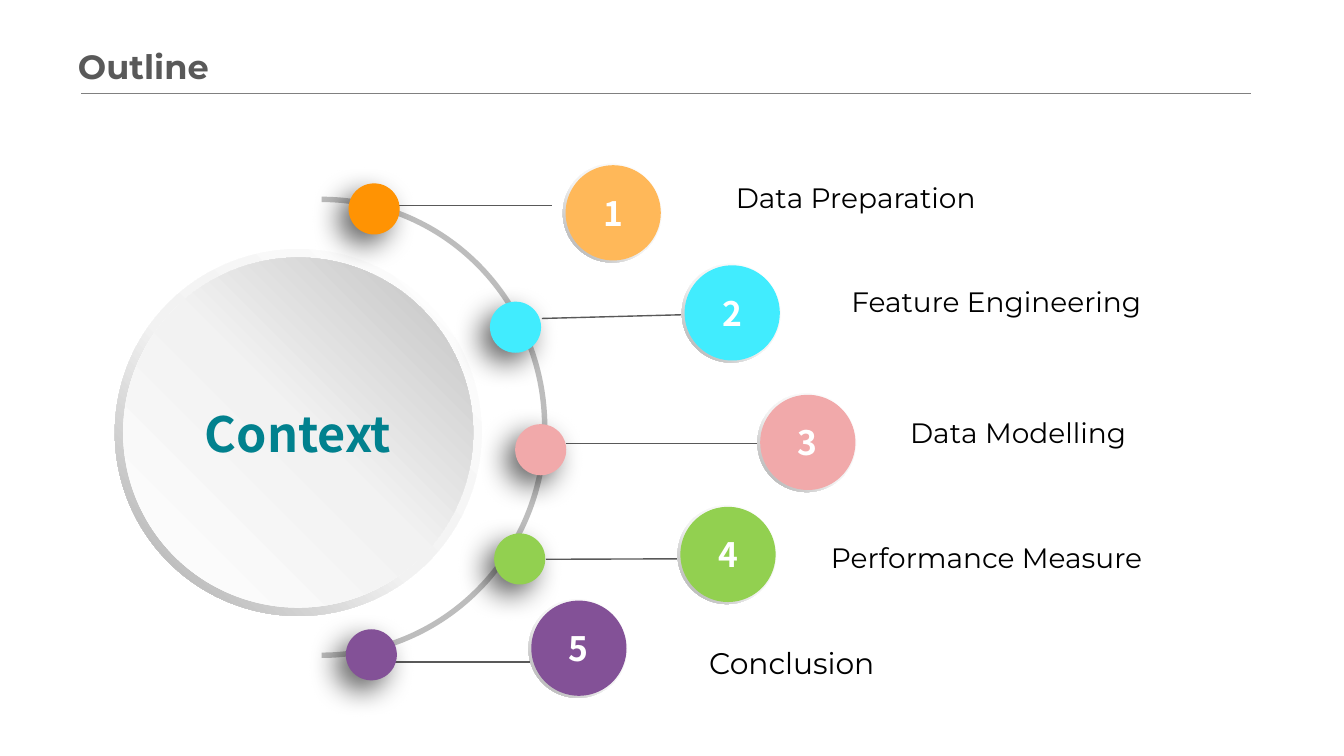
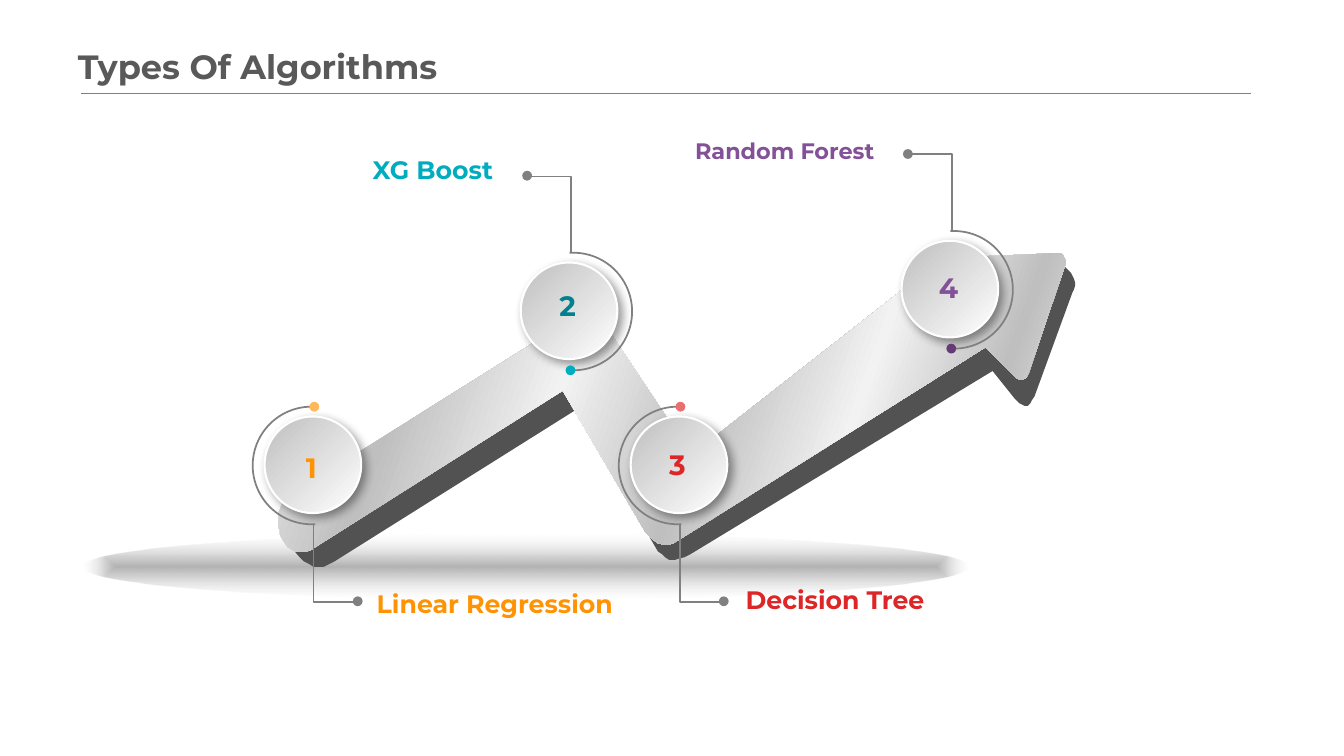
"""Build an outline slide and a slide on types of algorithms."""
import pptx
import pptx.dml.color
import pptx.enum.shapes
import pptx.enum.text
import pptx.oxml
import pptx.oxml.ns
import pptx.util

Pt = pptx.util.Pt
RGB = pptx.dml.color.RGBColor
SHAPE = pptx.enum.shapes.MSO_SHAPE
STRAIGHT = pptx.enum.shapes.MSO_CONNECTOR.STRAIGHT
ALIGN = pptx.enum.text.PP_ALIGN
MIDDLE = pptx.enum.text.MSO_ANCHOR.MIDDLE
qn = pptx.oxml.ns.qn

BLACK = RGB(0x00, 0x00, 0x00)
WHITE = RGB(0xFF, 0xFF, 0xFF)
CHARCOAL = RGB(0x59, 0x59, 0x59)
SIDE = RGB(0x52, 0x52, 0x52)
GRAY = RGB(0x80, 0x80, 0x80)
ARC_GRAY = RGB(0xBD, 0xBD, 0xBD)
SILVER = RGB(0xBF, 0xBF, 0xBF)
PALE = RGB(0xF2, 0xF2, 0xF2)
STEEL = RGB(0xA6, 0xA6, 0xA6)
ORANGE = RGB(0xFF, 0x93, 0x03)
APRICOT = RGB(0xFF, 0xB8, 0x59)
CYAN = RGB(0x41, 0xEC, 0xFE)
TEAL = RGB(0x01, 0x81, 0x8E)
TURQUOISE = RGB(0x01, 0xAC, 0xBE)
PINK = RGB(0xF1, 0xA9, 0xAA)
CORAL = RGB(0xE8, 0x70, 0x71)
RED = RGB(0xDC, 0x26, 0x27)
GREEN = RGB(0x92, 0xD0, 0x50)
PURPLE = RGB(0x83, 0x51, 0x97)
PLUM = RGB(0x66, 0x3A, 0x77)

TEXT_FONT = "Montserrat"
DISC_FONT = "Noto Sans CJK SC"
DRAWING_NS = 'xmlns:a="http://schemas.openxmlformats.org/drawingml/2006/main"'

RING = ([(0, WHITE, 100), (55, PALE, 100), (100, STEEL, 100)], 135)
DOME = ([(0, WHITE, 100), (51, PALE, 100), (100, SILVER, 100)], 315)
BADGE = ([(0, SILVER, 100), (100, WHITE, 100)], 45)
METAL = ([(0, PALE, 100), (19, SILVER, 100), (37, PALE, 100), (54, SILVER, 100),
          (71, PALE, 100), (86, SILVER, 100), (100, PALE, 100)], 20)
GROUND = ([(0, BLACK, 30), (29, BLACK, 18), (100, SILVER, 0)], None)
DOT_SHADOW = (60, 20, 10, 135)
BADGE_SHADOW = (40, 7, 4, 45)


def paint(shape, fill, shadow=None):
    """Fill a shape with a colour or (stops, angle), with an optional shadow."""
    shape.shadow.inherit = False
    shape.line.fill.background()
    shape.fill.solid()
    properties = shape.element.spPr
    if isinstance(fill, RGB):
        shape.fill.fore_color.rgb = fill
    else:
        stops, angle = fill
        marks = "".join(
            f'<a:gs pos="{place * 1000}"><a:srgbClr val="{color}">'
            f'<a:alpha val="{alpha * 1000}"/></a:srgbClr></a:gs>'
            for place, color, alpha in stops)
        if angle is None:
            course = ('<a:path path="shape"><a:fillToRect l="50000" t="50000" '
                      'r="50000" b="50000"/></a:path>')
        else:
            course = f'<a:lin ang="{angle * 60000}" scaled="0"/>'
        gradient = pptx.oxml.parse_xml(
            f'<a:gradFill {DRAWING_NS} rotWithShape="1"><a:gsLst>{marks}</a:gsLst>'
            f'{course}</a:gradFill>')
        properties.replace(properties.find(qn("a:solidFill")), gradient)
    if shadow:
        alpha, blur, distance, direction = shadow
        properties.find(qn("a:effectLst")).append(pptx.oxml.parse_xml(
            f'<a:outerShdw {DRAWING_NS} blurRad="{Pt(blur)}" dist="{Pt(distance)}" '
            f'dir="{direction * 60000}" algn="ctr" rotWithShape="0">'
            f'<a:srgbClr val="000000"><a:alpha val="{alpha * 1000}"/></a:srgbClr>'
            f'</a:outerShdw>'))
    return shape


def write(shape, text, size, color, bold=True, name=TEXT_FONT, align=ALIGN.LEFT):
    """Set the single paragraph of a shape and its font."""
    shape.text_frame.word_wrap = True
    para = shape.text_frame.paragraphs[0]
    para.text = text
    para.alignment = align
    para.font.size = Pt(size)
    para.font.bold = bold
    para.font.name = name
    para.font.color.rgb = color
    return para


deck = pptx.Presentation()
deck.slide_width = Pt(960)
deck.slide_height = Pt(540)

pages = []
for heading in ("Outline", "Types Of Algorithms"):
    page = deck.slides.add_slide(deck.slide_layouts[5])
    title = page.shapes.title
    title.left, title.top, title.width, title.height = Pt(48.5), Pt(27.5), Pt(384), Pt(39)
    title.text_frame.vertical_anchor = MIDDLE
    write(title, heading, 24, CHARCOAL)
    rule = page.shapes.add_connector(STRAIGHT, Pt(58), Pt(66.5), Pt(893.5), Pt(66.5))
    rule.line.color.rgb = GRAY
    rule.line.width = Pt(0.5)
    pages.append(page)
    rule.element.spPr.append(pptx.oxml.parse_xml(f"<a:effectLst {DRAWING_NS}/>"))

outline, algorithms = pages

shapes = outline.shapes
orbit = paint(shapes.add_shape(SHAPE.BLOCK_ARC, Pt(68.5), Pt(140.5), Pt(322.5), Pt(329.5)),
              ARC_GRAY)
orbit.adjustments[0] = 162
orbit.adjustments[1] = 54
orbit.adjustments[2] = 0.012
hub_ring = paint(shapes.add_shape(SHAPE.DONUT, Pt(82), Pt(178), Pt(262), Pt(262)), RING)
hub_ring.adjustments[0] = 0.05
hub = paint(shapes.add_shape(SHAPE.OVAL, Pt(88), Pt(184), Pt(250), Pt(250)), DOME)
hub.text_frame.vertical_anchor = MIDDLE
write(hub, "Context", 34.7, TEAL, name=DISC_FONT, align=ALIGN.CENTER)

topics = [
    ("Data Preparation", 20, (518.5, 128), (249, 131), ORANGE, (404, 118), APRICOT,
     (281, 147, 394.5, 147)),
    ("Feature Engineering", 20, (601, 202.5), (350, 215.5), CYAN, (489, 189.5), CYAN,
     (387, 227.5, 557, 223)),
    ("Data Modelling", 20, (643, 296), (368, 303), PINK, (543, 282), PINK,
     (404, 317, 591, 317)),
    ("Performance Measure", 20, (586.5, 385), (353, 381), GREEN, (486, 362), GREEN,
     (390, 399.5, 537, 399)),
    ("Conclusion", 21.3, (499.5, 459.5), (247, 449.5), PURPLE, (379.5, 429), PURPLE,
     (266, 473, 379, 473)),
]
for number, topic in enumerate(topics, 1):
    text, size, label_at, dot_at, dot_color, disc_at, disc_color, ends = topic
    link = shapes.add_connector(STRAIGHT, *map(Pt, ends))
    link.line.color.rgb = CHARCOAL
    link.line.width = Pt(1)
    link.element.spPr.append(pptx.oxml.parse_xml(f"<a:effectLst {DRAWING_NS}/>"))
    paint(shapes.add_shape(SHAPE.OVAL, *map(Pt, dot_at), Pt(36.5), Pt(36.5)),
          dot_color, DOT_SHADOW)
    left, top = disc_at
    ring = paint(shapes.add_shape(SHAPE.DONUT, Pt(left - 2), Pt(top - 1), Pt(70.5), Pt(70.5)),
                 RING)
    ring.adjustments[0] = 0.05
    disc = paint(shapes.add_shape(SHAPE.OVAL, Pt(left), Pt(top), Pt(68), Pt(68)), disc_color)
    disc.text_frame.vertical_anchor = MIDDLE
    write(disc, str(number), 24, WHITE, name=DISC_FONT, align=ALIGN.CENTER)
    label = shapes.add_textbox(*map(Pt, label_at), Pt(260), Pt(29))
    write(label, text, size, BLACK, bold=False).line_spacing = 0.9

shapes = algorithms.shapes
paint(shapes.add_shape(SHAPE.OVAL, Pt(59), Pt(381.5), Pt(633), Pt(47)), GROUND)

arrow_side = [(201, 383, 0), (225, 410, 16), (411, 293, 0), (463, 382, 0), (478, 405, 18),
              (709, 265, 0), (734, 296, 14), (770, 200, 10), (755, 185, 0),
              (700, 245, 0), (490, 370, 0), (402, 278, 0)]
arrow_face = [(199, 359, 10), (423.5, 218, 18), (493.5, 325, 0), (675, 184, 7),
              (764, 180, 13), (731.5, 275, 10), (703.5, 248, 0), (470.5, 395, 18),
              (401.5, 279, 0), (214, 398, 13), (199, 384, 10)]
for corners, fill in ((arrow_side, SIDE), (arrow_face, METAL)):
    points = []
    for index, (x, y, radius) in enumerate(corners):
        tangents = []
        for near_x, near_y, _ in (corners[index - 1], corners[(index + 1) % len(corners)]):
            length = ((near_x - x) ** 2 + (near_y - y) ** 2) ** 0.5
            share = min(radius / length, 0.5)
            tangents.append((x + share * (near_x - x), y + share * (near_y - y)))
        (x1, y1), (x2, y2) = tangents
        steps = 8 if radius else 1
        for step in range(steps):
            t = step / max(steps - 1, 1)
            points.append(((1 - t) ** 2 * x1 + 2 * t * (1 - t) * x + t ** 2 * x2,
                           (1 - t) ** 2 * y1 + 2 * t * (1 - t) * y + t ** 2 * y2))
    builder = shapes.build_freeform(*points[0], scale=Pt(1))
    builder.add_line_segments(points[1:], close=True)
    paint(builder.convert_to_shape(), fill)

steps = [
    ("Linear Regression", 18, (262, 417), ORANGE, ORANGE, APRICOT, (224.5, 332.5), -1, 318),
    ("XG Boost", 18, (259, 107), TURQUOISE, TEAL, TURQUOISE, (407.5, 222.5), 1, 202.5),
    ("Decision Tree", 18, (525.5, 414), RED, RED, CORAL, (486, 332.5), -1, 316),
    ("Random Forest", 16, (489.5, 94.5), PURPLE, PURPLE, PLUM, (679.5, 207), 1, 190),
]
for number, step in enumerate(steps, 1):
    text, size, label_at, color, digit_color, dot_color, (x, y), side, digit_top = step
    badge = paint(shapes.add_shape(SHAPE.OVAL, Pt(x - 35.5), Pt(y - 35), Pt(69), Pt(69)),
                  BADGE, BADGE_SHADOW)
    badge.line.color.rgb = WHITE
    badge.line.width = Pt(1.5)
    digit = shapes.add_textbox(Pt(x - 24), Pt(digit_top), Pt(44), Pt(31.5))
    write(digit, str(number), 20, digit_color, align=ALIGN.CENTER)

    arc = shapes.add_shape(SHAPE.ARC, Pt(x + 2 * side - 42), Pt(y - 42), Pt(84), Pt(84))
    arc.adjustments[0], arc.adjustments[1] = (159.79, 54) if side > 0 else (51.79, 162)
    builder = shapes.build_freeform(x, y - 42 * side, scale=Pt(1))
    builder.add_line_segments([(x, y - 97 * side), (x - 31 * side, y - 97 * side)], close=False)
    for stroke in (arc, builder.convert_to_shape()):
        stroke.shadow.inherit = False
        stroke.fill.background()
        stroke.line.color.rgb = GRAY
        stroke.line.width = Pt(1.25)
    for dot_x, dot_y, fill in ((x, y + 42 * side, dot_color),
                               (x - 31 * side, y - 97 * side, GRAY)):
        paint(shapes.add_shape(SHAPE.OVAL, Pt(dot_x - 3.5), Pt(dot_y - 3.5), Pt(7), Pt(7)), fill)
    write(shapes.add_textbox(*map(Pt, label_at), Pt(190), Pt(29)), text, size, color)

deck.save("out.pptx")
